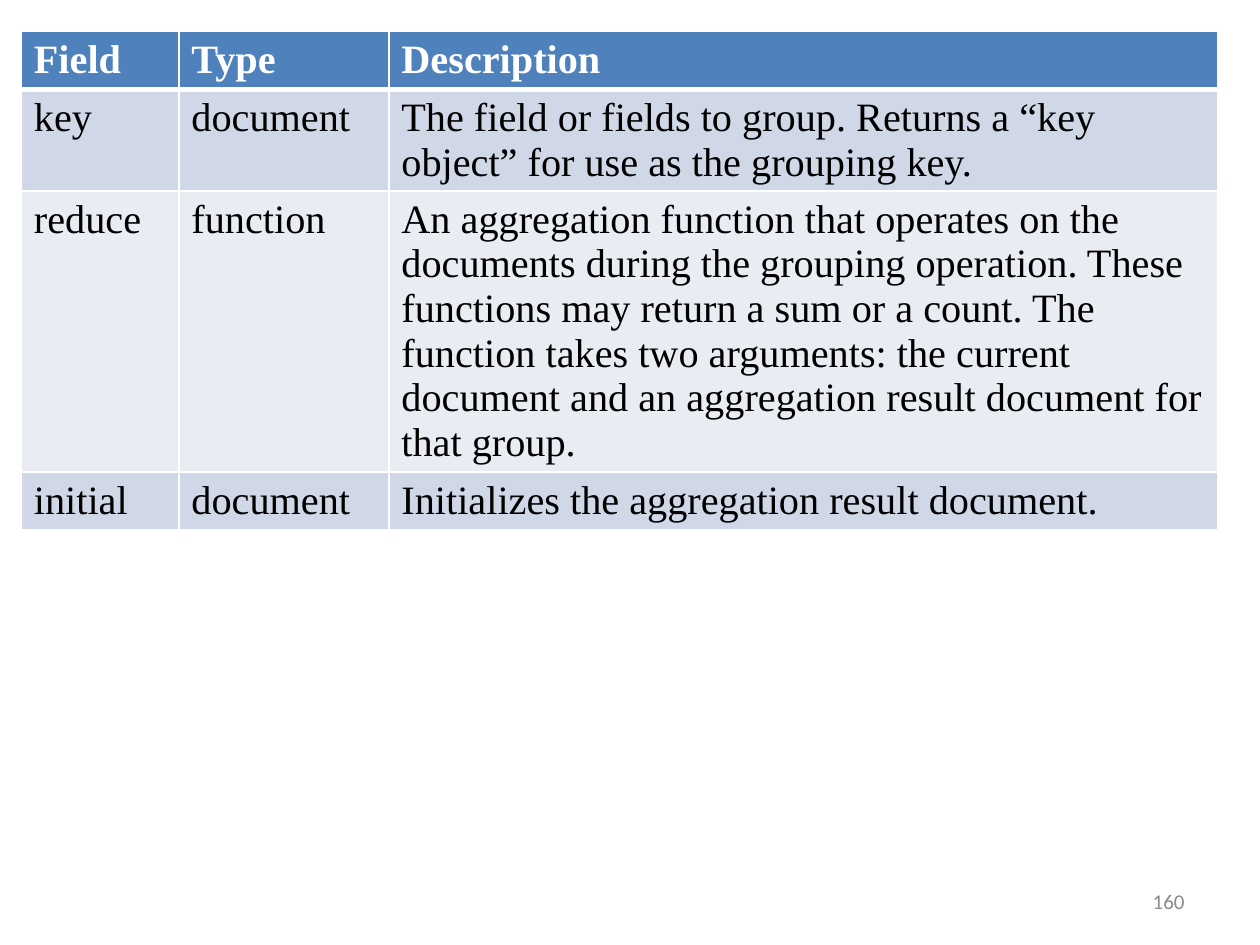
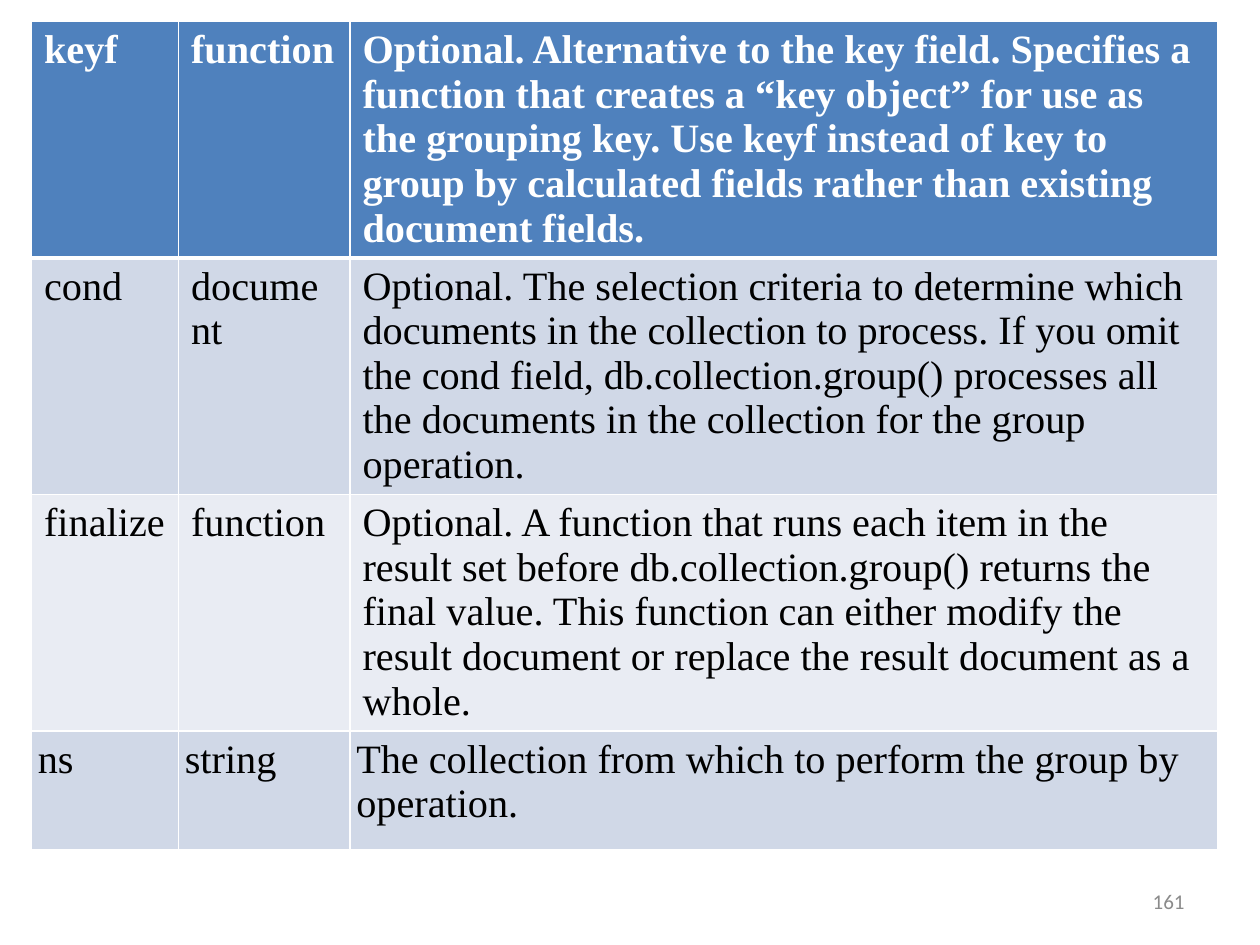
from dataclasses import dataclass

from lxml.etree import SubElement
from pptx import Presentation
from pptx.dml.color import RGBColor
from pptx.enum.text import MSO_ANCHOR, PP_ALIGN
from pptx.oxml.ns import qn
from pptx.util import Pt


@dataclass(frozen=True)
class Theme:
    header_fill: str = "4F81BD"
    bands: tuple = ("D0D8E7", "E9ECF3")
    header_text: str = "FFFFFF"
    body_text: str = "000000"
    border: str = "FFFFFF"
    muted: str = "8B8B8B"
    table_font: str = "Times New Roman"
    number_font: str = "Calibri"
    table_size: float = 23
    table_leading: float = 25.5
    number_size: float = 12
    thin: float = 0.96
    thick: float = 3


FIELDS = [
    ("Field", "Type", "Description"),
    ("key", "document",
     "The field or fields to group. Returns a “key object” for use as the grouping key."),
    ("reduce", "function",
     "An aggregation function that operates on the documents during the grouping "
     "operation. These functions may return a sum or a count. The function takes two "
     "arguments: the current document and an aggregation result document for that group."),
    ("initial", "document", "Initializes the aggregation result document."),
]

OPTIONAL_FIELDS = [
    ("keyf", "function",
     "Optional. Alternative to the key field. Specifies a function that creates a "
     "“key object” for use as the grouping key. Use keyf instead of key to group by "
     "calculated fields rather than existing document fields."),
    ("cond", "document",
     "Optional. The selection criteria to determine which documents in the collection "
     "to process. If you omit the cond field, db.collection.group() processes all the "
     "documents in the collection for the group operation."),
    ("finalize", "function",
     "Optional. A function that runs each item in the result set before "
     "db.collection.group() returns the final value. This function can either modify "
     "the result document or replace the result document as a whole."),
    ("ns", "string", "The collection from which to perform the group by operation."),
]


class Deck:
    """Holds the presentation, its theme and the current slide."""

    def __init__(self, theme):
        self.theme = theme
        self.prs = Presentation()
        self.prs.slide_width, self.prs.slide_height = Pt(720), Pt(540)
        self.s = None

    def new_slide(self):
        self.s = self.prs.slides.add_slide(self.prs.slide_layouts[6])

    def style_text(self, p, font, size, color, bold=False):
        for r in p.runs:
            r.font.name, r.font.size, r.font.bold = font, Pt(size), bold
            r.font.color.rgb = RGBColor.from_string(color)

    def slide_number(self, number):
        t = self.theme
        tf = self.s.shapes.add_textbox(Pt(516), Pt(500.5), Pt(168), Pt(28.75)).text_frame
        tf.word_wrap = True
        tf.vertical_anchor = MSO_ANCHOR.MIDDLE
        p = tf.paragraphs[0]
        p.text, p.alignment = str(number), PP_ALIGN.RIGHT
        self.style_text(p, t.number_font, t.number_size, t.muted)

    def borders(self, cell, top, bottom):
        tc_pr = cell._tc.get_or_add_tcPr()
        thin = self.theme.thin
        for side, width in zip("LRTB", (thin, thin, top, bottom)):
            ln = SubElement(tc_pr, qn(f"a:ln{side}"), w=str(Pt(width)))
            fill = SubElement(ln, qn("a:solidFill"))
            SubElement(fill, qn("a:srgbClr"), val=self.theme.border)

    def cell(self, cell, row, text):
        """Fill one cell; row 0 is the header and the others alternate."""
        t = self.theme
        header = row == 0
        self.borders(cell, t.thick if row == 1 else t.thin, t.thick if header else t.thin)
        cell.fill.solid()
        cell.fill.fore_color.rgb = RGBColor.from_string(
            t.header_fill if header else t.bands[(row - 1) % 2])
        p = cell.text_frame.paragraphs[0]
        p.text, p.line_spacing = text, Pt(t.table_leading)
        self.style_text(p, t.table_font, t.table_size,
                        t.header_text if header else t.body_text, header)

    def table(self, left, top, widths, heights, rows):
        tb = self.s.shapes.add_table(len(rows), len(widths), Pt(left), Pt(top),
                                     Pt(sum(widths)), Pt(sum(heights))).table
        for col, width in zip(tb.columns, widths):
            col.width = Pt(width)
        for i, (height, texts) in enumerate(zip(heights, rows)):
            tb.rows[i].height = Pt(height)
            for j, text in enumerate(texts):
                self.cell(tb.cell(i, j), i, text)
        return tb


def main():
    deck = Deck(Theme())

    deck.new_slide()
    deck.table(12.2, 18, (90, 120, 473.8), (33, 58, 160.5, 33), FIELDS)
    deck.slide_number(160)

    deck.new_slide()
    tb = deck.table(18, 12.2, (84, 98, 496), (135.2, 135.2, 135.2, 68), OPTIONAL_FIELDS)
    for j in range(len(tb.columns)):
        tight = tb.cell(len(tb.rows) - 1, j)
        tight.margin_left = tight.margin_right = Pt(3.6)
    deck.slide_number(161)

    deck.prs.save("out.pptx")


if __name__ == "__main__":
    main()
